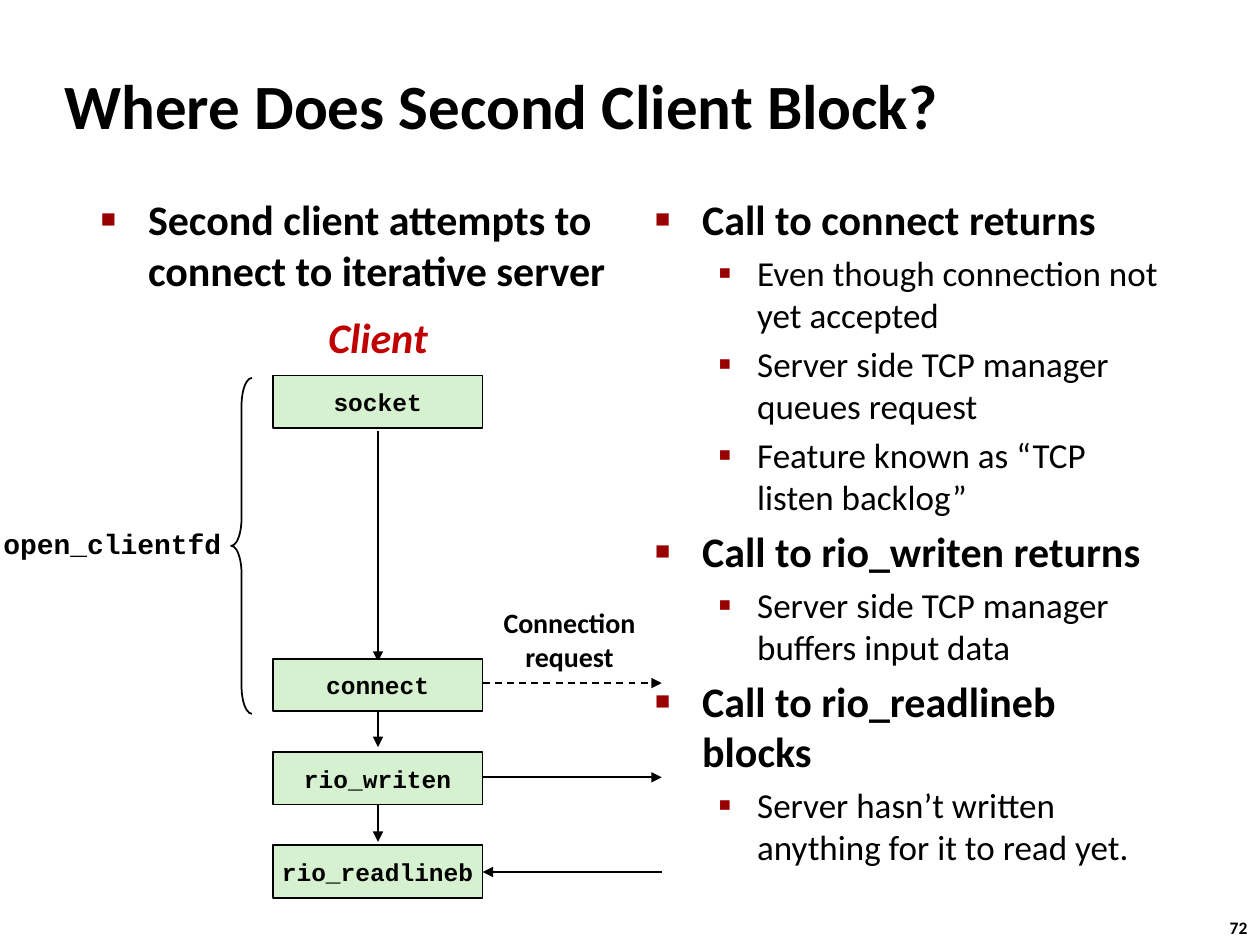
"""Build the slide on where the second client of an iterative server blocks."""
import pptx
import pptx.dml.color
import pptx.enum.dml
import pptx.enum.shapes
import pptx.enum.text
import pptx.oxml.ns
import pptx.util
from lxml import etree

Cm, Pt = pptx.util.Cm, pptx.util.Pt
RGBColor = pptx.dml.color.RGBColor
MSO_SHAPE = pptx.enum.shapes.MSO_SHAPE
PP_ALIGN = pptx.enum.text.PP_ALIGN
qn = pptx.oxml.ns.qn

BLACK = RGBColor(0x00, 0x00, 0x00)
RED = RGBColor(0xC0, 0x00, 0x00)
BULLET_RED = RGBColor(0x99, 0x00, 0x00)
GREEN = RGBColor(0xD5, 0xF1, 0xCF)

TITLE = "Where Does Second Client Block?"
LEFT_POINTS = [(0, "Second client attempts to connect to iterative server")]
RIGHT_POINTS = [
    (0, "Call to connect returns"),
    (1, "Even though connection not yet accepted"),
    (1, "Server side TCP manager queues request"),
    (1, "Feature known as “TCP listen backlog”"),
    (0, "Call to rio_writen returns"),
    (1, "Server side TCP manager buffers input data"),
    (0, "Call to rio_readlineb blocks"),
    (1, "Server hasn’t written anything for it to read yet."),
]
LEVELS = [
    dict(char="■", percent=60, margin=0.95, hanging=0.95, size=24, bold=True),
    dict(char="▪", percent=110, margin=2.06, hanging=0.79, size=20, bold=False),
]

BOX_LEFT, BOX_W, BOX_H = 5.5, 4.23, 1.06
CONNECT_TOP, STEP = 13.28, 1.88
BOXES = [
    ("socket", 7.57),
    ("connect", CONNECT_TOP),
    ("rio_writen", CONNECT_TOP + STEP),
    ("rio_readlineb", CONNECT_TOP + 2 * STEP),
]
AXIS, BOX_RIGHT, SERVER_X = 7.62, 9.73, 13.34
ARROWS = [
    (AXIS, 8.69, AXIS, 13.34, False),
    (8.26, 13.77, SERVER_X, 13.77, True),
    (AXIS, 14.22, AXIS, 15.06, False),
    (AXIS, 16.13, AXIS, 16.97, False),
    (BOX_RIGHT, 15.67, SERVER_X, 15.67, False),
    (SERVER_X, 17.58, BOX_RIGHT, 17.58, False),
]
LABELS = [
    (["Client"], (6.35, 6.15, 2.54, 1.27), dict(size=24, color=RED, italic=True)),
    (["Connection", "request"], (9.88, 12.07, 3.2, 1.63), dict(size=16)),
    (["open_clientfd"], (-0.2, 10.49, 4.93, 0.94), dict(size=16, font="Courier New")),
    (["72"], (24.54, 18.36, 0.94, 0.69), dict(size=10, align=PP_ALIGN.LEFT)),
]


def write(p, text, size=16, font="Calibri", color=BLACK, bold=True, italic=False,
          align=PP_ALIGN.CENTER, before=0):
    p.alignment = align
    p.space_before = Pt(before)
    r = p.add_run()
    r.text = text
    r.font.name, r.font.size = font, Pt(size)
    r.font.bold, r.font.italic = bold, italic
    r.font.color.rgb = color


def place(sp, left, top, width, height):
    sp.left, sp.top, sp.width, sp.height = Cm(left), Cm(top), Cm(width), Cm(height)


def add_points(sp, points):
    tf = sp.text_frame
    tf.auto_size = pptx.enum.text.MSO_AUTO_SIZE.NONE
    for i, (level, text) in enumerate(points):
        style = LEVELS[level]
        p = tf.add_paragraph() if i else tf.paragraphs[0]
        p.level = level
        pPr = p._p.get_or_add_pPr()
        pPr.set("marL", str(Cm(style["margin"])))
        pPr.set("indent", str(-Cm(style["hanging"])))
        color = etree.SubElement(pPr, qn("a:buClr"))
        etree.SubElement(color, qn("a:srgbClr")).set("val", str(BULLET_RED))
        etree.SubElement(pPr, qn("a:buSzPct")).set("val", str(style["percent"] * 1000))
        etree.SubElement(pPr, qn("a:buChar")).set("char", style["char"])
        write(p, text, size=style["size"], bold=style["bold"], align=PP_ALIGN.LEFT,
              before=style["size"] * 0.2 if i else 0)


def add_arrow(s, x1, y1, x2, y2, dashed):
    line = s.shapes.add_connector(pptx.enum.shapes.MSO_CONNECTOR.STRAIGHT,
                                  Cm(x1), Cm(y1), Cm(x2), Cm(y2))
    line.line.color.rgb, line.line.width = BLACK, Pt(1)
    if dashed:
        line.line.dash_style = pptx.enum.dml.MSO_LINE.DASH
    etree.SubElement(line.line._get_or_add_ln(), qn("a:tailEnd")).set("type", "triangle")
    etree.SubElement(line._element.spPr, qn("a:effectLst"))


def add_outlined(s, kind, left, top, width, height):
    sp = s.shapes.add_shape(kind, Cm(left), Cm(top), Cm(width), Cm(height))
    sp.shadow.inherit = False
    sp.line.color.rgb, sp.line.width = BLACK, Pt(1)
    return sp


def add_text(sp, lines, **style):
    tf = sp.text_frame
    tf.word_wrap = False
    tf.vertical_anchor = pptx.enum.text.MSO_ANCHOR.MIDDLE
    for i, text in enumerate(lines):
        write(tf.add_paragraph() if i else tf.paragraphs[0], text, **style)


def main():
    prs = pptx.Presentation()
    prs.slide_width, prs.slide_height = Cm(25.4), Cm(19.05)
    s = prs.slides.add_slide(prs.slide_layouts[3])
    title, left, right = s.placeholders
    place(title, 1.04, 1.04, 21.08, 2.11)
    title.text_frame.auto_size = pptx.enum.text.MSO_AUTO_SIZE.NONE
    title.text_frame.vertical_anchor = pptx.enum.text.MSO_ANCHOR.MIDDLE
    write(title.text_frame.paragraphs[0], TITLE, size=36, align=PP_ALIGN.LEFT)
    place(left, 1.78, 3.78, 10.74, 3)
    add_points(left, LEFT_POINTS)
    place(right, 12.95, 3.78, 10.74, 13.82)
    add_points(right, RIGHT_POINTS)

    for arrow in ARROWS:
        add_arrow(s, *arrow)
    for name, top in BOXES:
        sp = add_outlined(s, MSO_SHAPE.RECTANGLE, BOX_LEFT, top, BOX_W, BOX_H)
        sp.fill.solid()
        sp.fill.fore_color.rgb = GREEN
        add_text(sp, [name], size=14, font="Courier New")
    brace = add_outlined(s, MSO_SHAPE.LEFT_BRACE, 4.66, 7.62, 0.42, 6.77)
    brace.fill.background()
    brace.adjustments[0], brace.adjustments[1] = 1.33, 0.5
    for lines, box, style in LABELS:
        add_text(s.shapes.add_textbox(*map(Cm, box)), lines, **style)
    prs.save("out.pptx")


if __name__ == "__main__":
    main()
